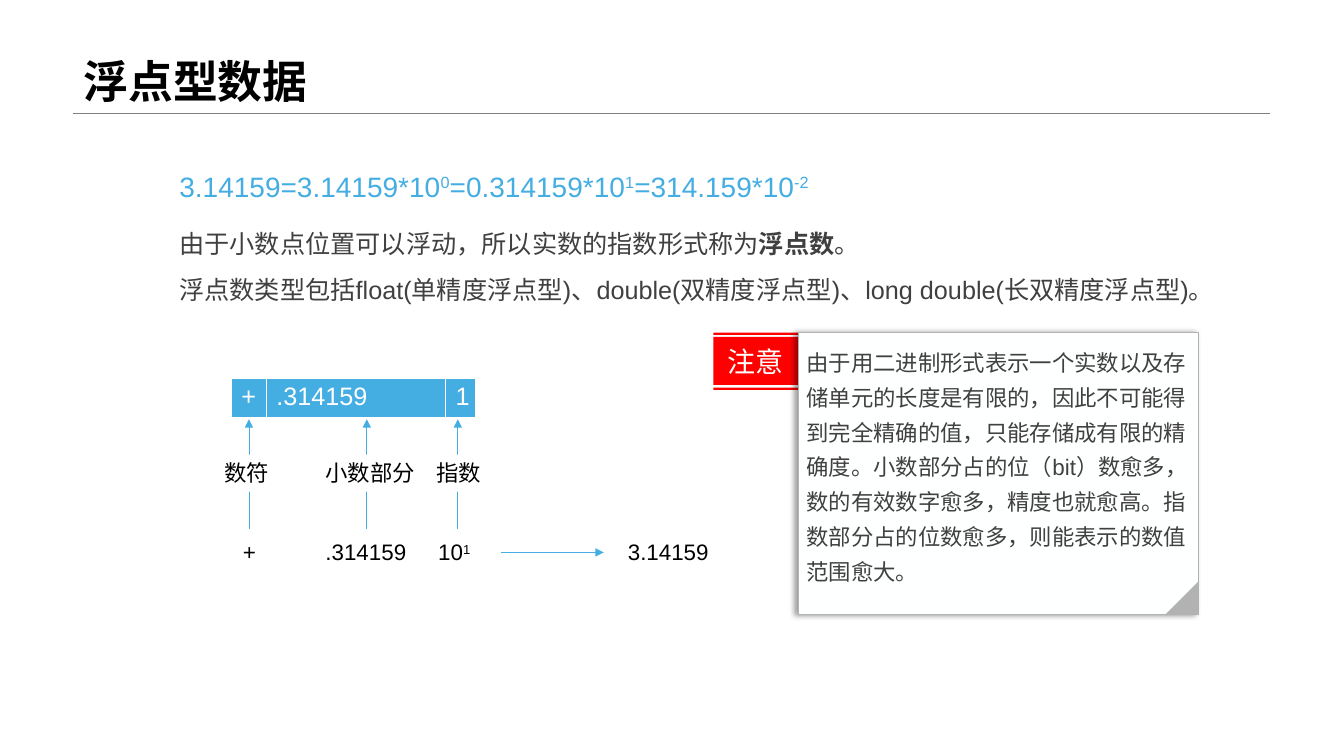
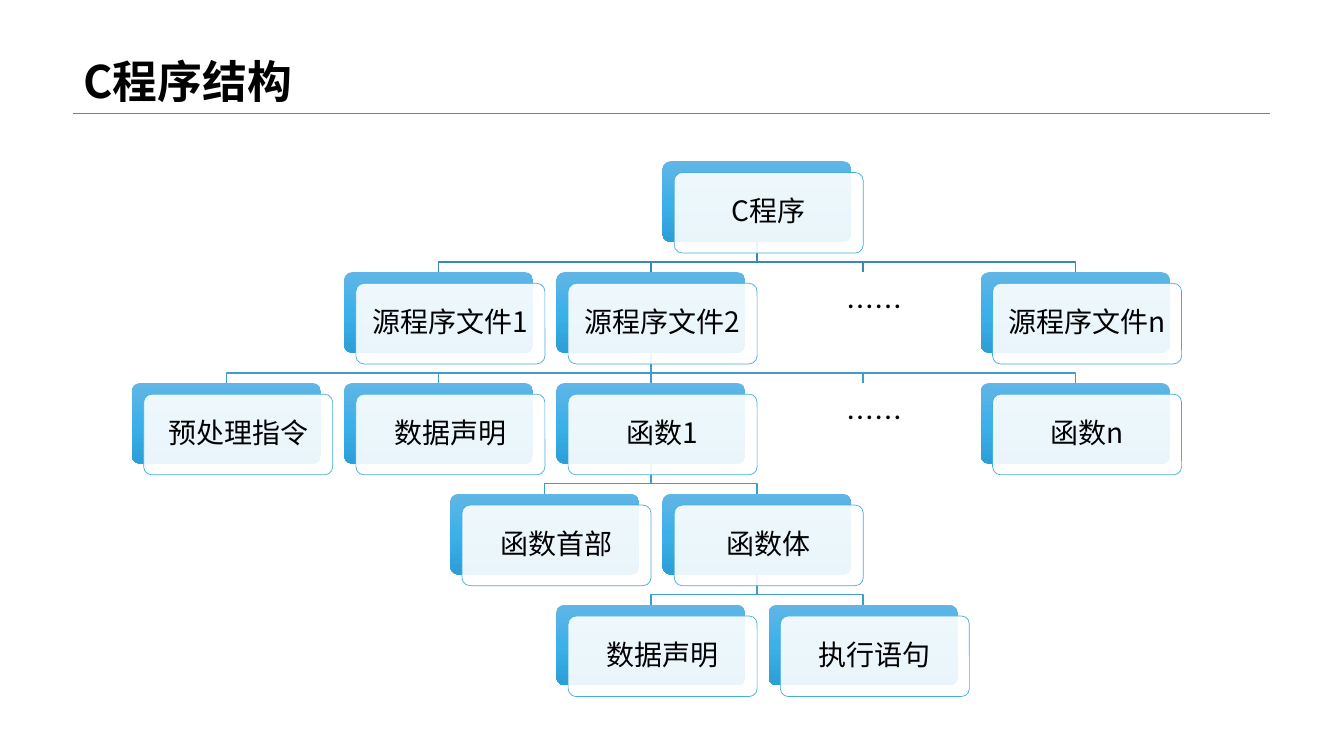
from copy import deepcopy

from lxml import etree
from pptx import Presentation
from pptx import util as u
from pptx.dml.color import RGBColor
from pptx.enum import shapes, text
from pptx.oxml.ns import qn

Pt = u.Pt
BLACK = RGBColor(0x00, 0x00, 0x00)
WHITE = RGBColor(0xFF, 0xFF, 0xFF)
PAPER = RGBColor(0xFE, 0xFF, 0xFF)
DARK = RGBColor(0x40, 0x40, 0x40)
GREY = RGBColor(0x80, 0x80, 0x80)
SILVER = RGBColor(0xB2, 0xB2, 0xB2)
RED = RGBColor(0xFF, 0x00, 0x00)
BLUE = RGBColor(0x44, 0xAD, 0xE1)
LINK_TOP = RGBColor(0x36, 0x8B, 0xB4)
LINK = RGBColor(0x3E, 0x9D, 0xCC)
CARD_STOPS = (
    (0, RGBColor(0x61, 0xB6, 0xE6)),
    (0.5, RGBColor(0x3C, 0xB0, 0xE9)),
    (1, RGBColor(0x2C, 0x9F, 0xD8)),
)

LATIN, CJK = "Arial", "Noto Sans CJK SC"
LEFT, CENTER, JUSTIFY = (text.PP_ALIGN.LEFT, text.PP_ALIGN.CENTER,
                         text.PP_ALIGN.JUSTIFY)
TOP, MIDDLE, BOTTOM = (text.MSO_ANCHOR.TOP, text.MSO_ANCHOR.MIDDLE,
                       text.MSO_ANCHOR.BOTTOM)
SHAPE = shapes.MSO_SHAPE

# Tree grid
TREE_LEFT, TREE_TOP = 94.2, 115.2
COLUMN_STEP, ROW_STEP = 151.6, 79.2
CARD_W, CARD_H, DOTS_H = 135, 57.6, 35.3
FRONT_DX, FRONT_DY = 8.4, 8
BEND_DROP = 14.4
DOTS = "……"

# Each node: label, column, children
TREE = ("C程序", 2.5, [
    ("源程序文件1", 1, []),
    ("源程序文件2", 2, [
        ("预处理指令", 0, []),
        ("数据声明", 1, []),
        ("函数1", 2, [
            ("函数首部", 1.5, []),
            ("函数体", 2.5, [("数据声明", 2, []), ("执行语句", 3, [])]),
        ]),
        (DOTS, 3, []),
        ("函数n", 4, []),
    ]),
    (DOTS, 3, []),
    ("源程序文件n", 4, []),
])


def add_xml(parent, tag, **attributes):
    return etree.SubElement(parent, qn(tag), attributes)


def send_to_back(shape):
    shape.element.getparent().insert(2, shape.element)


class Deck:
    """Holds the shared style and the slide being filled."""

    def __init__(self):
        self.deck = Presentation()
        self.deck.slide_width, self.deck.slide_height = Pt(960), Pt(540)
        self.page = None

    def new_page(self, title):
        self.page = self.deck.slides.add_slide(self.deck.slide_layouts[5])
        self.line((52.5, 80.6), (907, 80.6), GREY, 0.25)
        box = self.page.shapes.title
        box.left, box.top, box.width, box.height = map(
            Pt, (52.5, 0, 854.5, 80.6))
        self.set_text(box, [title], 32, BLACK, CJK, spacing=0.9,
                      anchor=BOTTOM, bold=True)

    def style(self, para, size, color, font=LATIN, align=LEFT, spacing=None,
              bold=False):
        para.alignment = align
        if spacing:
            para.line_spacing = spacing
        para.font.size, para.font.bold = Pt(size), bold
        para.font.color.rgb = color
        para.font.name = font
        add_xml(para._p.pPr.find(qn("a:defRPr")), "a:ea", typeface=CJK)

    def set_text(self, box, paragraphs, size, color, font=LATIN, align=LEFT,
                 spacing=None, anchor=TOP, bold=False, inset=None):
        """Fill a box; a paragraph is a string or (string, mark) spans,
        where mark is "", "bold" or "super"."""
        frame = box.text_frame
        frame.word_wrap, frame.vertical_anchor = True, anchor
        if inset is not None:
            frame.margin_left = frame.margin_right = Pt(inset)
            frame.margin_top = frame.margin_bottom = Pt(inset)
        for index, spans in enumerate(paragraphs):
            para = frame.add_paragraph() if index else frame.paragraphs[0]
            self.style(para, size, color, font, align, spacing, bold)
            for words, mark in [(spans, "")] if isinstance(spans, str) else spans:
                span = para.add_run()
                span.text = words
                if mark == "bold":
                    span.font.bold = True
                elif mark == "super":
                    span._r.get_or_add_rPr().set("baseline", "30000")

    def textbox(self, area, paragraphs, size, color, **style):
        box = self.page.shapes.add_textbox(*map(Pt, area))
        self.set_text(box, paragraphs, size, color, **style)

    def paint(self, shape, fill=None, line=None, width=0.5):
        shape.shadow.inherit = False
        if fill is None:
            shape.fill.background()
        else:
            shape.fill.solid()
            shape.fill.fore_color.rgb = fill
        if line is None:
            shape.line.fill.background()
        else:
            shape.line.color.rgb, shape.line.width = line, Pt(width)

    def shape(self, kind, area, fill=None, line=None, width=0.5):
        shape = self.page.shapes.add_shape(kind, *map(Pt, area))
        self.paint(shape, fill, line, width)
        return shape

    def line(self, start, end, color, width, arrow=False):
        line = self.page.shapes.add_connector(
            shapes.MSO_CONNECTOR.STRAIGHT, *map(Pt, (*start, *end)))
        line.line.color.rgb, line.line.width = color, Pt(width)
        if arrow:
            add_xml(line.element.spPr.find(qn("a:ln")), "a:tailEnd",
                    type="triangle")
        add_xml(line.element.spPr, "a:effectLst")
        return line

    def outline(self, contours, close=True):
        """Build one freeform from lists of (x, y) points."""
        contours = [[(Pt(x), Pt(y)) for x, y in points] for points in contours]
        builder = self.page.shapes.build_freeform(*contours[0][0])
        for index, (first, *others) in enumerate(contours):
            if index:
                builder.move_to(*first)
            builder.add_line_segments(others, close=close)
        return builder.convert_to_shape()

    def tabbed_row(self, area, spans, stops):
        """White strip whose words sit on tab stops."""
        box = self.shape(SHAPE.RECTANGLE, area, WHITE)
        self.set_text(box, [spans], 16, BLACK)
        props = box.text_frame.paragraphs[0]._p.pPr
        tabs = etree.Element(qn("a:tabLst"))
        props.find(qn("a:defRPr")).addprevious(tabs)
        for stop in stops:
            add_xml(tabs, "a:tab", pos=str(Pt(stop)), algn="l")

    def table(self, area, widths, words):
        table = self.page.shapes.add_table(
            1, len(words), *map(Pt, area)).table
        table.first_row = table.horz_banding = False
        for column, width in zip(table.columns, widths):
            column.width = Pt(width)
        for cell, word in zip(table.rows[0].cells, words):
            cell.fill.solid()
            cell.fill.fore_color.rgb = BLUE
            cell.text = word
            self.style(cell.text_frame.paragraphs[0], 18, WHITE, align=JUSTIFY)
            self.cell_borders(cell, (("L", 1), ("R", 1), ("T", 1), ("B", 3)))

    def cell_borders(self, cell, borders):
        props = cell._tc.get_or_add_tcPr()
        for index, (side, width) in enumerate(borders):
            border = etree.Element(qn(f"a:ln{side}"), w=str(Pt(width)))
            add_xml(add_xml(border, "a:solidFill"), "a:srgbClr", val=str(WHITE))
            props.insert(index, border)

    def note(self, area, words):
        """Paper note with a soft shadow and a folded corner."""
        left, top, width, height = area
        fold = 23.8
        paper = self.shape(SHAPE.RECTANGLE, area, PAPER, SILVER, 0.75)
        shadow = add_xml(paper.element.spPr.find(qn("a:effectLst")),
                         "a:outerShdw", blurRad=str(Pt(4)), dist=str(Pt(3)),
                         dir="10800000", algn="r", rotWithShape="0")
        add_xml(add_xml(shadow, "a:srgbClr", val=str(BLACK)),
                "a:alpha", val="40000")
        self.set_text(paper, [words], 16, DARK, spacing=1.3, inset=5.8)
        corner = self.shape(
            SHAPE.RIGHT_TRIANGLE,
            (left + width - fold, top + height - fold, fold, fold), SILVER)
        corner.rotation = 270

    def ribbon(self, left, right, bands, words):
        ribbon = self.outline([
            [(left, top), (right, top), (right, bottom), (left, bottom)]
            for top, bottom in bands])
        self.paint(ribbon, RED)
        self.set_text(ribbon, [words], 20, PAPER, align=CENTER, anchor=MIDDLE)

    def card(self, label, column, level):
        """Draw a back plate and a labelled front plate; return the back."""
        dots = label == DOTS
        left = TREE_LEFT + column * COLUMN_STEP
        top = TREE_TOP + level * ROW_STEP
        size = (CARD_W, DOTS_H if dots else CARD_H)
        back = self.shape(SHAPE.ROUNDED_RECTANGLE, (left, top, *size), WHITE)
        if not dots:
            self.card_gradient(back)
        front = self.shape(SHAPE.ROUNDED_RECTANGLE,
                           (left + FRONT_DX, top + FRONT_DY, *size),
                           WHITE, None if dots else BLUE)
        add_xml(front.element.spPr.find(f".//{qn('a:srgbClr')}"),
                "a:alpha", val="90000")
        back.adjustments[0] = front.adjustments[0] = 0.1
        self.set_text(front, [label], 20, BLACK, CJK, CENTER, 0.9, MIDDLE,
                      inset=7)
        return back

    def card_gradient(self, shape):
        shape.fill.gradient()
        stops = shape.element.spPr.find(f".//{qn('a:gsLst')}")
        stops.insert(1, deepcopy(stops[0]))
        for stop, (position, color) in zip(shape.fill.gradient_stops, CARD_STOPS):
            stop.position, stop.color.rgb = position, color
        shape.fill.gradient_angle = 270

    def link(self, parent, child, color):
        x1, x2 = ((card.left + card.width / 2) / Pt(1)
                  for card in (parent, child))
        y1, y2 = (parent.top + parent.height) / Pt(1), child.top / Pt(1)
        if abs(x1 - x2) < 0.1:
            link = self.line((x1, y1), (x2, y2), color, 1)
            link.begin_connect(parent, 2)
            link.end_connect(child, 0)
        else:
            bend = y1 + BEND_DROP
            link = self.outline(
                [[(x1, y1), (x1, bend), (x2, bend), (x2, y2)]], close=False)
            self.paint(link, None, color, 1)
        send_to_back(link)

    def tree(self, node, level=0):
        label, column, children = node
        parent = self.card(label, column, level)
        for child in children:
            self.link(parent, self.tree(child, level + 1),
                      LINK if level else LINK_TOP)
        return parent


def float_page(deck):
    deck.new_page("浮点型数据")
    deck.textbox((121, 117.4, 555, 31.5), [[
        ("3.14159=3.14159*10", ""), ("0", "super"), ("=0.314159*10", ""),
        ("1", "super"), ("=314.159*10", ""), ("-2", "super"),
    ]], 20, BLUE, align=JUSTIFY)
    deck.textbox((121, 149, 754.5, 105), [
        [("由于小数点位置可以浮动，所以实数的指数形式称为", ""),
         ("浮点数", "bold"), ("。", "")],
        "浮点数类型包括float(单精度浮点型)、double(双精度浮点型)、"
        "long double(长双精度浮点型)。",
    ], 18, DARK, spacing=1.5)
    deck.table((165.2, 270, 174.4, 29.2), (25, 128, 21.4), ("+", ".314159", "1"))
    for x in (177.8, 262, 327):
        deck.line((x, 378), (x, 299.5), BLUE, 0.5, arrow=True)
    deck.tabbed_row((153.4, 324.7, 213, 26.6), "数符\t小数部分\t指数", (72, 151))
    deck.tabbed_row((153.4, 381, 401, 26.6), [
        ("\t+\t.314159\t10", ""), ("1", "super"), ("\t3.14159", ""),
    ], (13, 72, 152.5, 288))
    deck.line((358, 394.6), (431.3, 394.6), BLUE, 0.5, arrow=True)
    deck.ribbon(509.6, 570.4, ((237.6, 239.2), (240.7, 275), (277, 278.6)), "注意")
    deck.note((570.4, 237.6, 285.6, 201.6),
              "由于用二进制形式表示一个实数以及存储单元的长度是有限的，"
              "因此不可能得到完全精确的值，只能存储成有限的精确度。"
              "小数部分占的位（bit）数愈多，数的有效数字愈多，精度也就愈高。"
              "指数部分占的位数愈多，则能表示的数值范围愈大。")


def structure_page(deck):
    deck.new_page("C程序结构")
    deck.tree(TREE)


def main():
    deck = Deck()
    float_page(deck)
    structure_page(deck)
    deck.deck.save("out.pptx")


if __name__ == "__main__":
    main()
